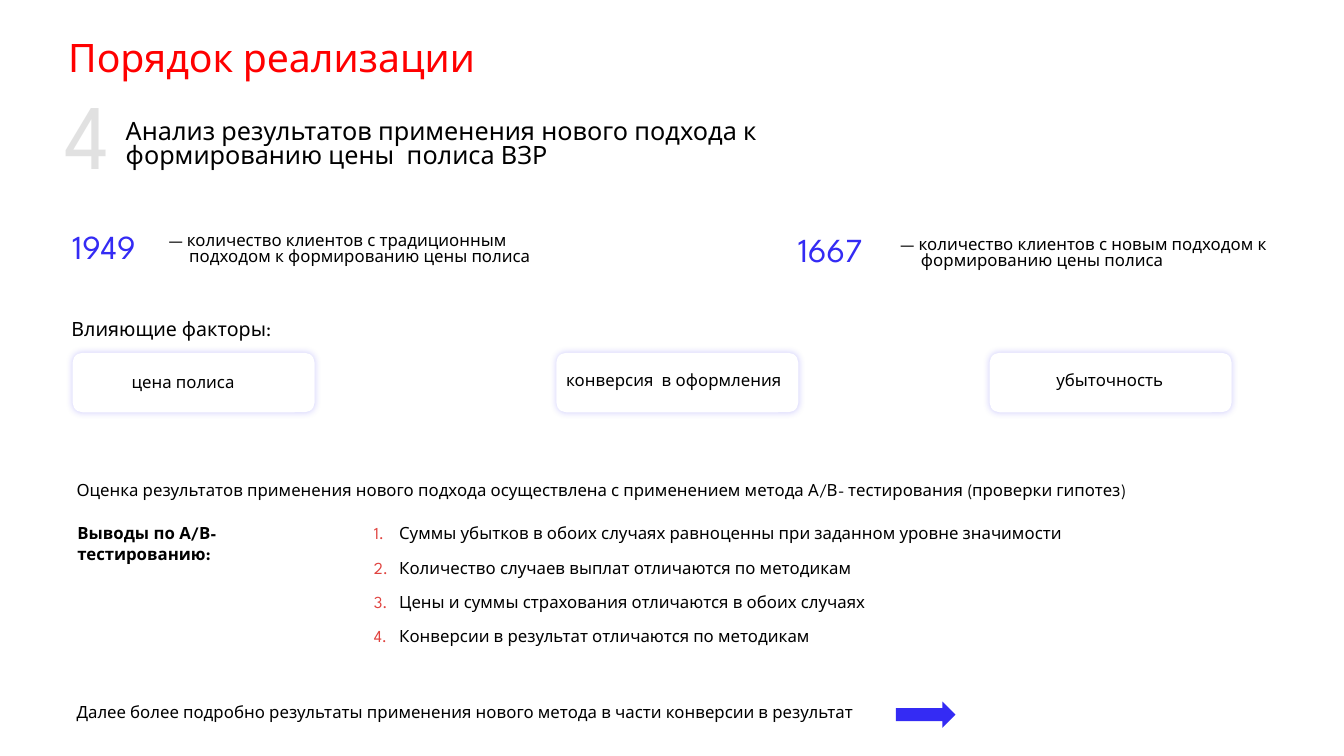
from lxml import etree
from pptx import Presentation
from pptx.dml.color import RGBColor
from pptx.enum.shapes import MSO_SHAPE
from pptx.enum.text import MSO_AUTO_SIZE
from pptx.oxml import parse_xml
from pptx.oxml.ns import qn
from pptx.util import Cm, Pt

ROUND = MSO_SHAPE.ROUNDED_RECTANGLE
ARROW = MSO_SHAPE.RIGHT_ARROW
GROW = MSO_AUTO_SIZE.SHAPE_TO_FIT_TEXT
FONT = "League Spartan"
BLACK, BLUE, RED, GREY = "000000", "342BF4", "FF0000", "D9D9D9"
NS = 'xmlns:a="http://schemas.openxmlformats.org/drawingml/2006/main"'
GLOW = f"""<a:effectLst {NS}>
  <a:outerShdw blurRad="{Pt(5)}" dist="0" dir="0" algn="ctr" rotWithShape="0">
    <a:srgbClr val="{BLUE}"><a:alpha val="22000"/></a:srgbClr>
  </a:outerShdw>
</a:effectLst>"""

deck = Presentation()
deck.slide_width, deck.slide_height = Cm(33.87), Cm(19.05)
slide = deck.slides.add_slide(deck.slide_layouts[6])


def add_text(left, top, width, height, lines, size=12, color=BLACK, bold=None):
    """Add a wrapped text box with one paragraph per line; return its frame."""
    box = slide.shapes.add_textbox(Cm(left), Cm(top), Cm(width), Cm(height))
    frame = box.text_frame
    frame.word_wrap = True
    frame.auto_size = GROW
    frame.text = "\n".join(lines)
    for para in frame.paragraphs:
        para.font.name = FONT
        para.font.size = Pt(size)
        para.font.bold = bold
        para.font.color.rgb = RGBColor.from_string(color)
        # Runs need the colour too, so that it holds in every viewer
        for run in para.runs:
            run.font.name = FONT
            run.font.size = Pt(size)
            run.font.color.rgb = RGBColor.from_string(color)
    return frame


def add_shape(kind, left, top, width, height, color):
    shape = slide.shapes.add_shape(kind, Cm(left), Cm(top), Cm(width), Cm(height))
    shape.shadow.inherit = False
    shape.fill.solid()
    shape.fill.fore_color.rgb = RGBColor.from_string(color)
    shape.line.fill.background()
    return shape


# Heading with the step number
add_text(1.47, 0.71, 15.47, 1.45, ["Порядок реализации"], 28, RED)
step = add_text(1.37, 1.83, 2.03, 3.07, ["4"], 66, GREY)
step.auto_size = MSO_AUTO_SIZE.NONE
for tint in step.paragraphs[0]._p.iter(qn("a:srgbClr")):
    etree.SubElement(tint, qn("a:alpha")).set("val", "76000")
topic = add_text(2.92, 2.92, 16.43, 1.5, [
    "Анализ результатов применения нового подхода к формированию цены  полиса ВЗР"], 18)
topic.paragraphs[0].line_spacing = 0.8

# Client counts
counts = [
    ("1949", 1.57, 5.56, 4.01, 5.77, 10.97,
     "— количество клиентов с традиционным подходом к формированию цены полиса"),
    ("1667", 19.86, 5.64, 22.45, 5.87, 9.86,
     "— количество клиентов с новым подходом к формированию цены полиса"),
]
for count, left, top, note_left, note_top, width, note in counts:
    add_text(left, top, 2.72, 1.27, [count], 24, BLUE)
    para = add_text(note_left, note_top, width, 1.07, [note]).paragraphs[0]
    para.line_spacing = 0.8
    props = para._p.get_or_add_pPr()
    props.set("marL", str(Cm(0.51)))
    props.set("indent", str(-Cm(0.51)))

# Factors
add_text(1.55, 7.85, 6.53, 0.86, ["Влияющие факторы:"], 14)
factors = [
    ("цена полиса", 1.83, 3.07, 9.25, 3.73),
    ("конверсия  в оформления", 14.02, 14.02, 9.19, 6.27),
    ("убыточность", 24.94, 26.37, 9.19, 3.3),
]
for name, left, text_left, top, width in factors:
    card = add_shape(ROUND, left, 8.89, 6.1, 1.5, "FFFFFF")
    props = card._element.spPr
    props.replace(props.find(qn("a:effectLst")), parse_xml(GLOW))
    add_text(text_left, top, width, 0.76, [name])

# Test results
add_text(1.68, 11.96, 29.77, 0.76, [
    "Оценка результатов применения нового подхода осуществлена "
    "с применением метода А/В- тестирования (проверки гипотез)"])
add_text(1.7, 13.06, 7.21, 0.76, ["Выводы по А/В-тестированию:"], bold=True)
results = add_text(9.17, 13.06, 19.35, 3.38, [
    "Суммы убытков в обоих случаях равноценны при заданном уровне значимости",
    "Количество случаев выплат отличаются по методикам",
    "Цены и суммы страхования отличаются в обоих случаях",
    "Конверсии в результат отличаются по методикам",
])
for para in results.paragraphs:
    para.space_after = Pt(10)
    props = para._p.get_or_add_pPr()
    props.set("marL", str(Cm(0.64)))
    props.set("indent", str(-Cm(0.64)))
    marks = [
        f'<a:buClr {NS}><a:srgbClr val="E0433F"/></a:buClr>',
        f'<a:buFont {NS} typeface="{FONT}"/>',
        f'<a:buAutoNum {NS} type="arabicPeriod"/>',
    ]
    for spot, mark in enumerate(marks, 1):
        props.insert(spot, parse_xml(mark))

# Lead to the next slide
add_text(1.68, 17.55, 20.78, 0.76, [
    "Далее более подробно результаты применения нового метода в части конверсии в результат"])
add_shape(ARROW, 22.58, 17.68, 1.5, 0.66, BLUE)

deck.save("out.pptx")
